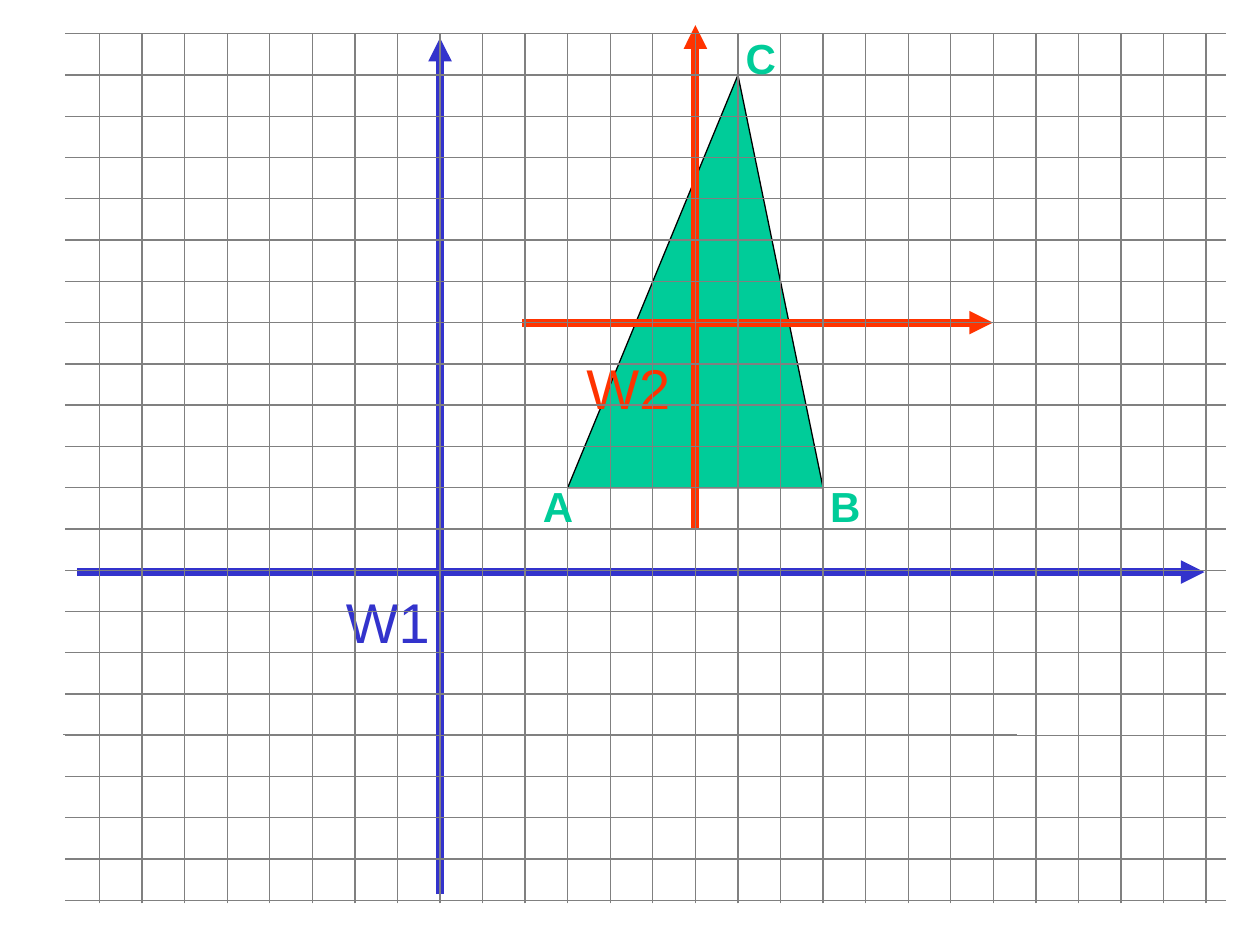
from dataclasses import dataclass

from lxml.etree import SubElement
from pptx import Presentation
from pptx.dml.color import RGBColor as RGB
from pptx.enum.shapes import MSO_CONNECTOR as CONNECTOR
from pptx.enum.text import MSO_AUTO_SIZE as AUTO_SIZE
from pptx.oxml.ns import qn
from pptx.util import Pt


@dataclass(frozen=True)
class Theme:
    font: str = "Arial"
    grid: RGB = RGB(0x80, 0x80, 0x80)
    world1: RGB = RGB(0x33, 0x33, 0xCC)
    world2: RGB = RGB(0xFF, 0x33, 0x00)
    triangle: RGB = RGB(0x00, 0xCC, 0x99)
    outline: RGB = RGB(0x00, 0x00, 0x00)
    world_size: int = 32
    vertex_size: int = 24
    thin: float = 0.75
    thick: float = 4.5


theme = Theme()
columns = [56.9 + 24.32 * i for i in range(27)]
rows = [19.3 + 23.58 * i for i in range(22)]

deck = Presentation()
deck.slide_width, deck.slide_height = Pt(720), Pt(540)
slide = deck.slides.add_slide(deck.slide_layouts[6])
shapes = slide.shapes


def draw_line(x1, y1, x2, y2, color, width=theme.thin, arrow=False):
    line = shapes.add_connector(CONNECTOR.STRAIGHT, Pt(x1), Pt(y1), Pt(x2), Pt(y2))
    line.line.color.rgb = color
    line.line.width = Pt(width)
    if arrow:
        SubElement(line.line._get_or_add_ln(), qn("a:tailEnd"), type="triangle")
    SubElement(line._element.spPr, qn("a:effectLst"))


def write_label(text, x, y, width, height, size, color, bold=False):
    label = shapes.add_textbox(Pt(x), Pt(y), Pt(width), Pt(height))
    label.text_frame.word_wrap = False
    label.text_frame.auto_size = AUTO_SIZE.SHAPE_TO_FIT_TEXT
    run = label.text_frame.paragraphs[0].add_run()
    run.text = text
    run.font.name = theme.font
    run.font.size = Pt(size)
    run.font.bold = bold
    run.font.color.rgb = color


a, b, c = [(Pt(columns[i]), Pt(rows[j])) for i, j in ((11, 11), (17, 11), (15, 1))]
outline = shapes.build_freeform(*a)
outline.add_line_segments([b, c], close=True)
triangle = outline.convert_to_shape()
triangle.shadow.inherit = False
triangle.fill.solid()
triangle.fill.fore_color.rgb = theme.triangle
triangle.line.color.rgb = theme.outline
triangle.line.width = Pt(theme.thin)

draw_line(columns[14], rows[12], columns[14], 14.4, theme.world2, theme.thick, True)
draw_line(298.5, rows[7], 567.4, rows[7], theme.world2, theme.thick, True)
write_label("W2", 328, 198.7, 64, 46, theme.world_size, theme.world2)

draw_line(36, 419.8, 581, 419.8, theme.grid)

draw_line(columns[8], 511, columns[8], 21.6, theme.world1, theme.thick, True)
draw_line(43.9, 326.9, 688.3, 326.9, theme.world1, theme.thick, True)
write_label("W1", 190.6, 332.4, 64, 46, theme.world_size, theme.world1)

for x in columns:
    draw_line(x, 516.2, x, 18.7, theme.grid)
for y in rows:
    draw_line(37.4, y, 700.4, y, theme.grid)

for vertex, x, y in (("A", 303.1, 271), ("B", 467.3, 271), ("C", 419, 15.1)):
    write_label(vertex, x, y, 31.7, 36, theme.vertex_size, theme.triangle, True)

deck.save("out.pptx")
